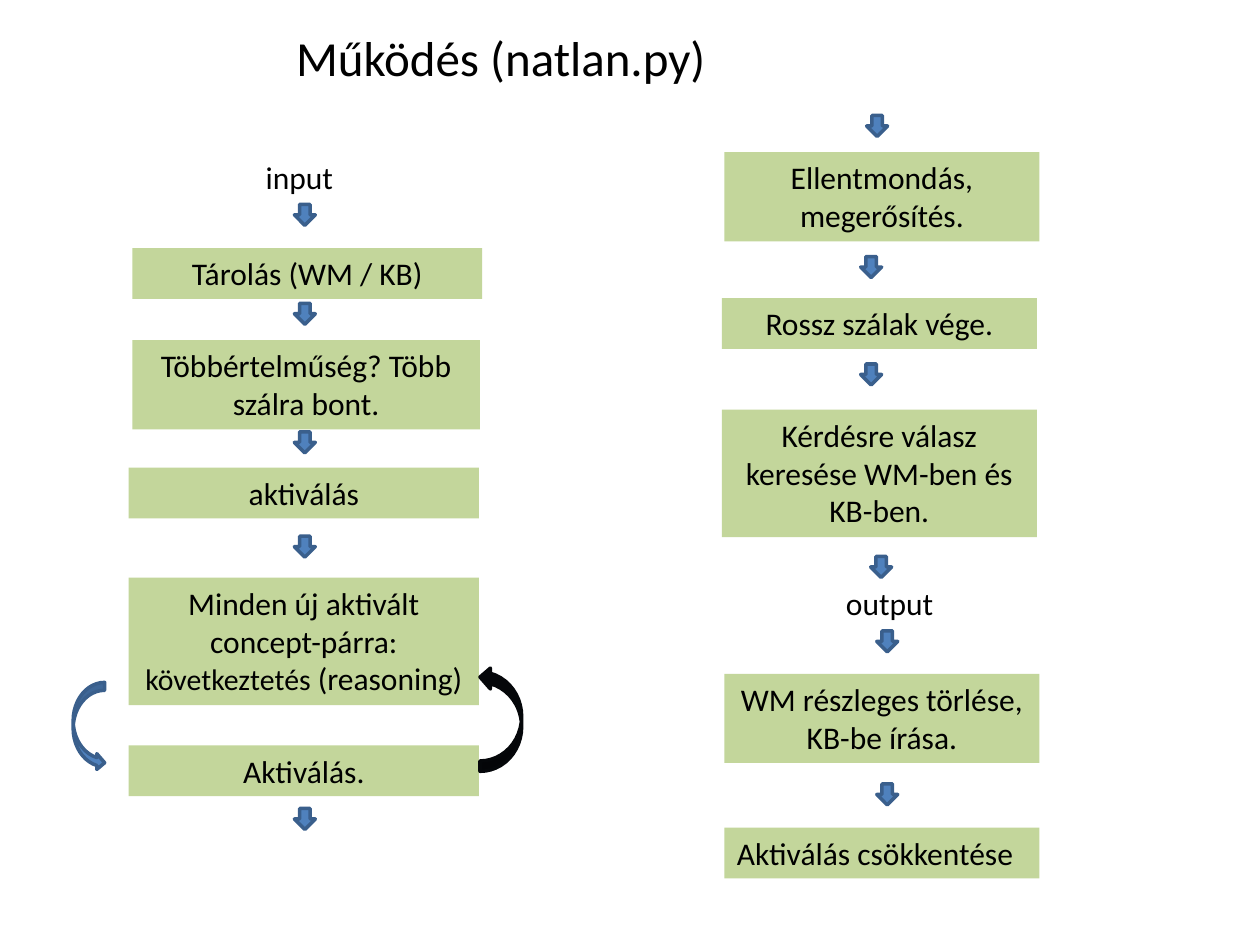
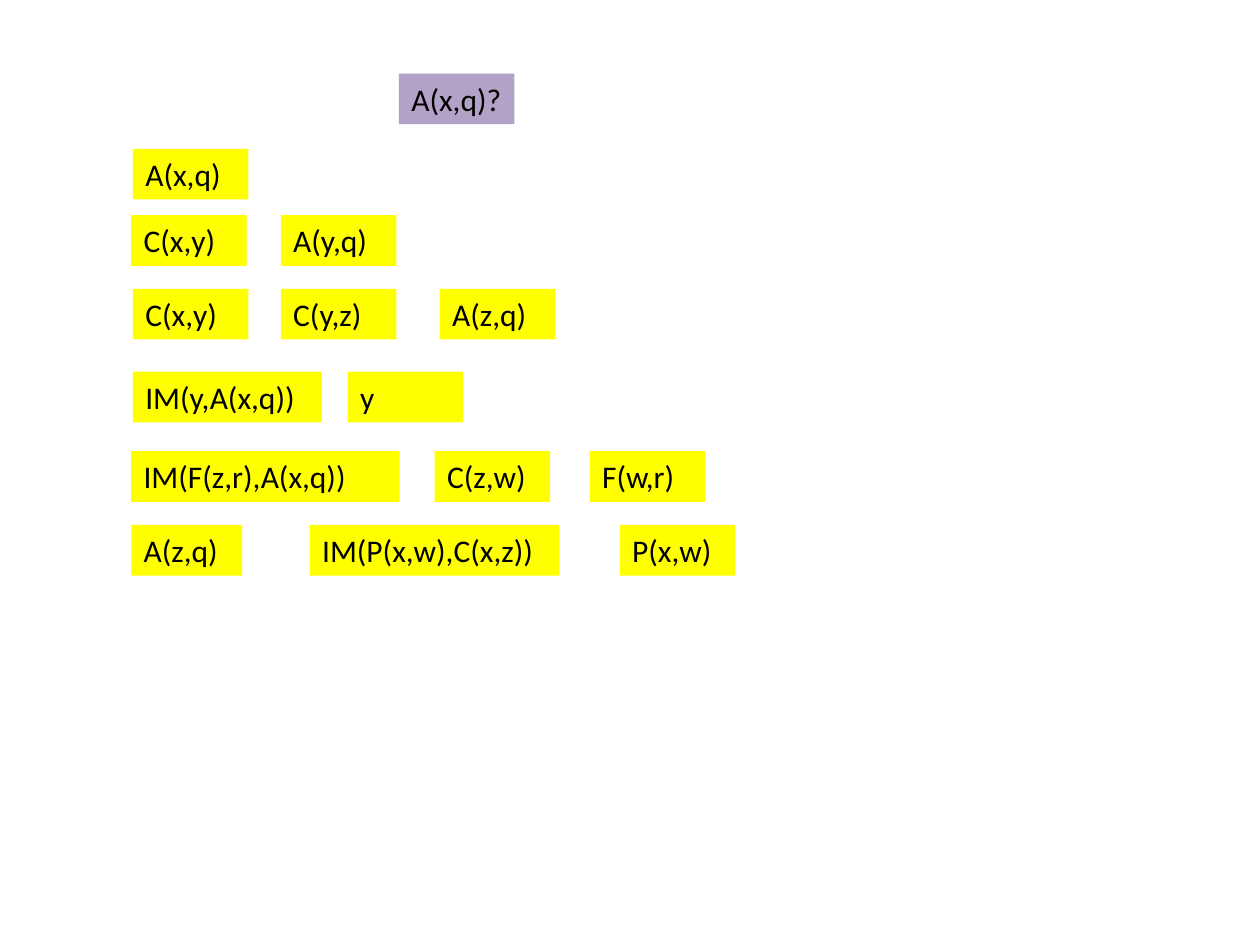
from dataclasses import dataclass
from pptx import Presentation
from pptx.dml.color import RGBColor
from pptx.enum import shapes, text
from pptx.util import Pt

COLORS = {
    "text": "000000",
    "step": "C3D69B",
    "fact": "FFFF00",
    "question": "B3A2C7",
    "arrow": "4F81BD",
    "arrow_line": "3A5F8C",
    "return": "05070A",
}
FONT = "Calibri"
LINE_HEIGHT = 22
BOX_PADDING = 7
ARROW_SIZE = 12
SHAPE = shapes.MSO_SHAPE
LEFT, CENTER = text.PP_ALIGN.LEFT, text.PP_ALIGN.CENTER


@dataclass
class Box:
    x: float
    y: float
    w: float
    words: str | list[tuple[str, int]]
    lines: int = 1
    color: str | None = "step"
    align: text.PP_ALIGN = CENTER


@dataclass
class Arrow:
    x: float
    y: float
    w: float = ARROW_SIZE
    h: float = ARROW_SIZE
    kind: SHAPE = SHAPE.DOWN_ARROW
    fill: str = "arrow"
    line: str = "arrow_line"
    flip: bool = False


def rgb(name: str) -> RGBColor:
    return RGBColor.from_string(COLORS[name])


def write(sp, words, *, size: int = 18, align=LEFT, anchor=text.MSO_ANCHOR.TOP) -> None:
    tf = sp.text_frame
    tf.word_wrap = True
    tf.auto_size = text.MSO_AUTO_SIZE.NONE
    tf.vertical_anchor = anchor
    p = tf.paragraphs[0]
    p.alignment = align
    for part, part_size in [(words, size)] if isinstance(words, str) else words:
        r = p.add_run()
        r.text = part
        r.font.name = FONT
        r.font.size = Pt(part_size)
        r.font.color.rgb = rgb("text")


def draw_box(s, box: Box) -> None:
    frame = [Pt(v) for v in (box.x, box.y, box.w, BOX_PADDING + LINE_HEIGHT * box.lines)]
    if box.color is None:
        sp = s.shapes.add_textbox(*frame)
    else:
        sp = s.shapes.add_shape(SHAPE.RECTANGLE, *frame)
        sp.shadow.inherit = False
        sp.fill.solid()
        sp.fill.fore_color.rgb = rgb(box.color)
        sp.line.fill.background()
    write(sp, box.words, align=box.align)


def draw_arrow(s, arrow: Arrow) -> None:
    sp = s.shapes.add_shape(arrow.kind, Pt(arrow.x), Pt(arrow.y), Pt(arrow.w), Pt(arrow.h))
    sp.shadow.inherit = False
    sp.fill.solid()
    sp.fill.fore_color.rgb = rgb(arrow.fill)
    sp.line.color.rgb = rgb(arrow.line)
    sp.line.width = Pt(2)
    if arrow.flip:
        sp._element.spPr.xfrm.set("flipV", "1")


def build_flow(prs) -> None:
    s = prs.slides.add_slide(prs.slide_layouts[5])
    title = s.shapes.title
    title.left, title.top, title.width, title.height = Pt(162), Pt(12), Pt(282), Pt(41)
    write(title, "Működés (natlan.py)", size=28)

    reasoning = [
        ("Minden új aktivált concept-párra: ", 18),
        ("következtetés", 17),
        (" (reasoning)", 18),
    ]
    boxes = [
        Box(144.7, 87, 76, "input", color=None, align=LEFT),
        Box(75.6, 141.8, 200, "Tárolás (WM / KB)"),
        Box(75.6, 194.4, 198.7, "Többértelműség? Több szálra bont.", 2),
        Box(73.5, 267.2, 200.2, "aktiválás"),
        Box(73.5, 330, 200.2, reasoning, 3),
        Box(73.5, 426, 200.2, "Aktiválás."),
        Box(414, 87, 180, "Ellentmondás, megerősítés.", 2),
        Box(412.5, 170.4, 180, "Rossz szálak vége."),
        Box(412.5, 234, 180, "Kérdésre válasz keresése WM-ben és KB-ben.", 3),
        Box(451.4, 330, 114, "output", color=None),
        Box(414, 385, 180, "WM részleges törlése, KB-be írása.", 2),
        Box(414, 473, 180, "Aktiválás csökkentése", align=LEFT),
    ]
    for box in boxes:
        draw_box(s, box)

    for y in (116.8, 173.3, 246.8, 306.4, 462):
        draw_arrow(s, Arrow(168.2, y))
    for x, y in ((495.2, 66), (491.8, 146.6), (491.8, 208), (497.5, 318), (501, 360.5), (501, 448)):
        draw_arrow(s, Arrow(x, y))
    draw_arrow(s, Arrow(41.8, 390, 18, 50.4, SHAPE.CURVED_RIGHT_ARROW))
    draw_arrow(s, Arrow(274.3, 381, 23.8, 59.8, SHAPE.CURVED_LEFT_ARROW,
                        "return", "return", True))


def build_facts(prs) -> None:
    s = prs.slides.add_slide(prs.slide_layouts[6])
    draw_box(s, Box(228, 42, 66, "A(x,q)?", color="question", align=LEFT))
    normal = 66
    rows = [
        (85, [(76, normal, "A(x,q)")]),
        (123, [(75, normal, "C(x,y)"), (160.5, normal, "A(y,q)")]),
        (165, [(76, normal, "C(x,y)"), (160.5, normal, "C(y,z)"), (251.3, normal, "A(z,q)")]),
        (212.4, [(76, 108, "IM(y,A(x,q))"), (198.7, normal, "y")]),
        (257.8, [(75, 153.4, "IM(F(z,r),A(x,q))"), (248.4, normal, "C(z,w)"),
                 (337, normal, "F(w,r)")]),
        (300, [(75, 63.4, "A(z,q)"), (177, 142.6, "IM(P(x,w),C(x,z))"),
               (354.2, normal, "P(x,w)")]),
    ]
    for y, facts in rows:
        for x, w, words in facts:
            draw_box(s, Box(x, y, w, words, color="fact", align=LEFT))


prs = Presentation()
prs.slide_width, prs.slide_height = Pt(720), Pt(540)
build_flow(prs)
build_facts(prs)
prs.save("out.pptx")
